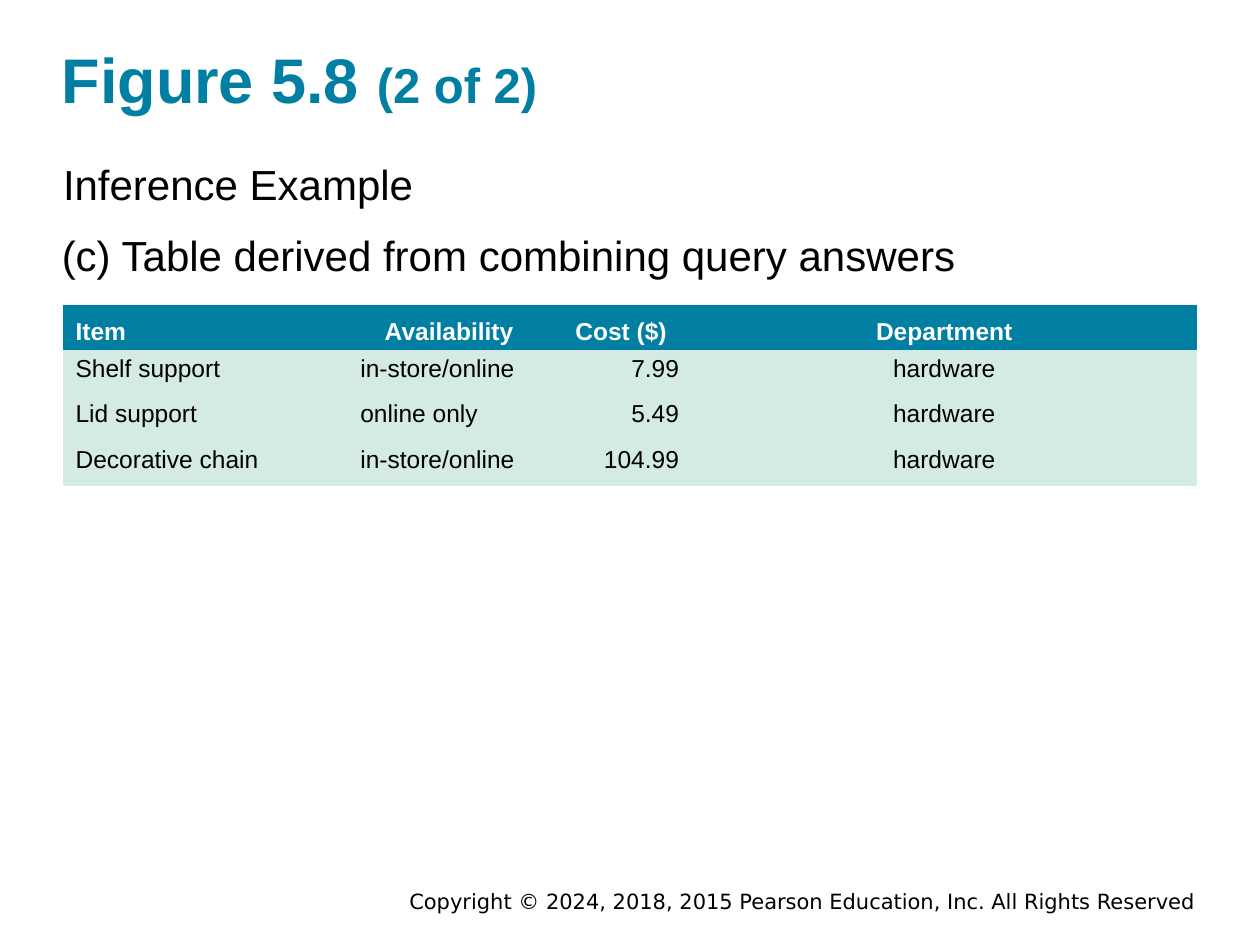
"""Build the slide with the table derived from combining query answers."""
import pptx
import pptx.util
import pptx.dml.color
import pptx.enum.text

Inches = pptx.util.Inches
Align = pptx.enum.text.PP_ALIGN
Anchor = pptx.enum.text.MSO_ANCHOR
TEAL, MINT, BLACK, WHITE = "007FA3", "D4EAE4", "000000", "FFFFFF"


def color(code):
    return pptx.dml.color.RGBColor.from_string(code)


def write(para, text, size=14, tint=BLACK, bold=False, face="Arial", align=Align.LEFT):
    para.alignment = align
    run = para.add_run()
    run.text = text
    run.font.name = face
    run.font.size = pptx.util.Pt(size)
    run.font.bold = bold
    run.font.color.rgb = color(tint)


deck = pptx.Presentation()
deck.slide_width, deck.slide_height = Inches(10), Inches(7.5)
slide = deck.slides.add_slide(deck.slide_layouts[6])

foot = dict(size=12, face="DejaVu Sans", align=Align.RIGHT)
title = dict(tint=TEAL, bold=True)
boxes = [
    ((2.28, 7.03, 7.21, 0.24),
     [("Copyright © 2024, 2018, 2015 Pearson Education, Inc. All Rights Reserved", foot)]),
    ((0.49, 0.3, 9, 0.65),
     [("Figure 5.8 ", dict(title, size=36)), ("(2 of 2)", dict(title, size=28))]),
    ((0.5, 1.24, 2.85, 0.44), [("Inference Example", dict(size=24))]),
    ((0.49, 1.8, 7.19, 0.44),
     [("(c) Table derived from combining query answers", dict(size=24))]),
]
for place, runs in boxes:
    frame = slide.shapes.add_textbox(*map(Inches, place)).text_frame
    frame.word_wrap = True
    frame.vertical_anchor = Anchor.MIDDLE
    frame.margin_left = frame.margin_right = 0
    frame.margin_top = frame.margin_bottom = Inches(0.02)
    for text, style in runs:
        write(frame.paragraphs[0], text, **style)

rows = [
    ("Item", "Availability", "Cost ($)", "Department"),
    ("Shelf support", "in-store/online", "7.99", "hardware"),
    ("Lid support", "online only", "5.49", "hardware"),
    ("Decorative chain", "in-store/online", "104.99", "hardware"),
]
widths = (2.26, 1.61, 1.12, 4.01)
heads = (Align.LEFT, Align.CENTER, Align.CENTER, Align.CENTER)
sides = (Align.LEFT, Align.LEFT, Align.RIGHT, Align.CENTER)
table = slide.shapes.add_table(
    len(rows), len(widths), Inches(0.5), Inches(2.42), Inches(9), Inches(1.44)).table
table.horz_banding = False
for column, width in zip(table.columns, widths):
    column.width = Inches(width)
for r, row in enumerate(rows):
    head = r == 0
    table.rows[r].height = Inches(0.36)
    for c, text in enumerate(row):
        cell = table.cell(r, c)
        cell.fill.solid()
        cell.fill.fore_color.rgb = color(TEAL if head else MINT)
        cell.vertical_anchor = Anchor.BOTTOM if head else Anchor.TOP
        cell.margin_top = cell.margin_bottom = Inches(0.04)
        write(cell.text_frame.paragraphs[0], text, bold=head,
              tint=WHITE if head else BLACK, align=(heads if head else sides)[c])
style = table._tbl.tblPr.find(pptx.oxml.ns.qn("a:tableStyleId"))
style.text = "{2D5ABB26-0587-4C30-8999-92F81FD0307C}"

deck.save("out.pptx")
